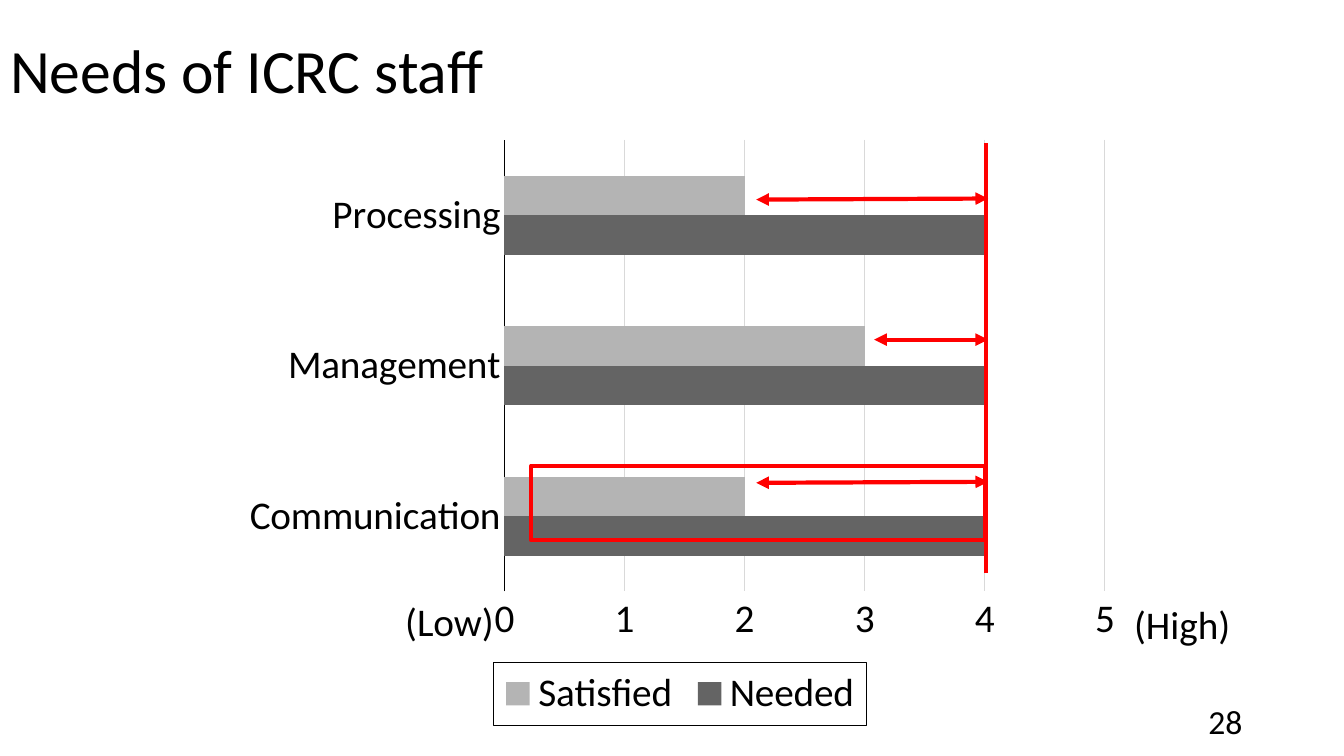
from lxml import etree
from pptx import Presentation
from pptx.chart.data import CategoryChartData
from pptx.dml.color import RGBColor
from pptx.enum import chart as ch, shapes, text
from pptx.oxml import parse_xml
from pptx.oxml.ns import nsdecls, qn
from pptx.util import Inches, Pt

BLACK, RED, GRID = "000000", "FF0000", "D9D9D9"
DARK, LIGHT = "646464", "B4B4B4"


def rgb(code):
    return RGBColor.from_string(code)


def style(font, size, color=BLACK):
    font.name = "Calibri"
    font.size = Pt(size)
    font.color.rgb = rgb(color)


def stroke(line, color, width):
    line.color.rgb = rgb(color)
    line.width = Pt(width)


def write(frame, words, size=28, align=text.PP_ALIGN.LEFT,
          anchor=text.MSO_ANCHOR.TOP, wrap=True, spacing=None):
    frame.word_wrap = wrap
    frame.vertical_anchor = anchor
    para = frame.paragraphs[0]
    para.alignment = align
    para.line_spacing = spacing
    run = para.add_run()
    run.text = words
    style(run.font, size)


class Page:
    def __init__(self, deck):
        self.slide = deck.slides.add_slide(deck.slide_layouts[5])
        self.items = self.slide.shapes

    def title(self, words, *box):
        head = self.items.title
        head.left, head.top, head.width, head.height = map(Inches, box)
        frame = head.text_frame
        frame.auto_size = text.MSO_AUTO_SIZE.NONE
        write(frame, words, size=44, anchor=text.MSO_ANCHOR.MIDDLE, spacing=0.9)

    def label(self, words, *box, **form):
        frame = self.items.add_textbox(*map(Inches, box)).text_frame
        write(frame, words, **form)

    def line(self, x1, y1, x2, y2, arrows=False):
        link = self.items.add_connector(
            shapes.MSO_CONNECTOR.STRAIGHT, *map(Inches, (x1, y1, x2, y2)))
        stroke(link.line, RED, 3)
        if arrows:
            ln = link.line._get_or_add_ln()
            for end in ("a:headEnd", "a:tailEnd"):
                etree.SubElement(ln, qn(end), type="triangle")
        etree.SubElement(link._element.spPr, qn("a:effectLst"))

    def frame(self, *box):
        rect = self.items.add_shape(
            shapes.MSO_SHAPE.RECTANGLE, *map(Inches, box))
        rect.shadow.inherit = False
        rect.fill.background()
        stroke(rect.line, RED, 3)

    def bars(self, names, series, *box):
        data = CategoryChartData()
        data.categories = names
        for name, values, _ in series:
            data.add_series(name, values)
        chart = self.items.add_chart(
            ch.XL_CHART_TYPE.BAR_CLUSTERED, *map(Inches, box), data).chart
        style(chart.font, 10)
        chart.has_title = False
        plot = chart.plots[0]
        plot.gap_width = 182
        plot.overlap = 0
        plot.vary_by_categories = False
        for bar, (_, _, color) in zip(plot.series, series):
            bar.format.fill.solid()
            bar.format.fill.fore_color.rgb = rgb(color)
        self.axes(chart)
        self.legend(chart)
        self.place(chart)

    def axes(self, chart):
        cats, vals = chart.category_axis, chart.value_axis
        for axis in (cats, vals):
            style(axis.tick_labels.font, 28)
            axis.major_tick_mark = axis.minor_tick_mark = ch.XL_TICK_MARK.NONE
        stroke(cats.format.line, BLACK, 0.75)
        vals.format.line.fill.background()
        vals.minimum_scale, vals.maximum_scale, vals.major_unit = 0, 5, 1
        vals.has_major_gridlines = True
        stroke(vals.major_gridlines.format.line, GRID, 0.75)

    def legend(self, chart):
        chart.has_legend = True
        key = chart.legend
        key.position = ch.XL_LEGEND_POSITION.BOTTOM
        key.include_in_layout = False
        style(key.font, 28)
        border = parse_xml(
            f'<c:spPr {nsdecls("c", "a")}><a:ln w="9525"><a:solidFill>'
            f'<a:srgbClr val="{BLACK}"/></a:solidFill></a:ln></c:spPr>')
        key._element.find(qn("c:txPr")).addprevious(border)

    def place(self, chart):
        """Fix the inner plot area as shares of the chart frame."""
        area = chart._chartSpace.find(".//" + qn("c:plotArea"))
        for old in area.findall(qn("c:layout")):
            area.remove(old)
        marks = {"layoutTarget": "inner", "xMode": "edge", "yMode": "edge",
                 "x": 0.304, "y": 0.02, "w": 0.67, "h": 0.756}
        body = "".join(f'<c:{k} val="{v}"/>' for k, v in marks.items())
        area.insert(0, parse_xml(
            f'<c:layout {nsdecls("c")}><c:manualLayout>{body}'
            '</c:manualLayout></c:layout>'))


def main():
    deck = Presentation()
    deck.slide_width, deck.slide_height = Inches(13.33), Inches(7.5)
    page = Page(deck)
    page.title("Needs of ICRC staff", 0, 0, 11.5, 1.45)
    page.bars(["Communication", "Management", "Processing"],
              [("Needed", (4, 4, 4), DARK), ("Satisfied", (2, 3, 2), LIGHT)],
              2.3, 1.27, 8.89, 5.93)
    for left, y1, y2 in ((7.5, 1.98, 1.97), (7.5, 4.79, 4.78),
                         (8.67, 3.37, 3.37)):
        page.line(left, y1, 9.8, y2, arrows=True)
    page.line(9.78, 1.42, 9.78, 5.68)
    page.label("28", 9.42, 6.95, 3, 0.4, size=24,
               align=text.PP_ALIGN.RIGHT, anchor=text.MSO_ANCHOR.MIDDLE)
    page.frame(5.27, 4.62, 4.5, 0.74)
    page.label("(High)", 11.15, 5.91, 1.17, 0.57, wrap=False)
    page.label("(Low)", 3.92, 5.88, 1.09, 0.57, wrap=False)
    deck.save("out.pptx")


if __name__ == "__main__":
    main()
